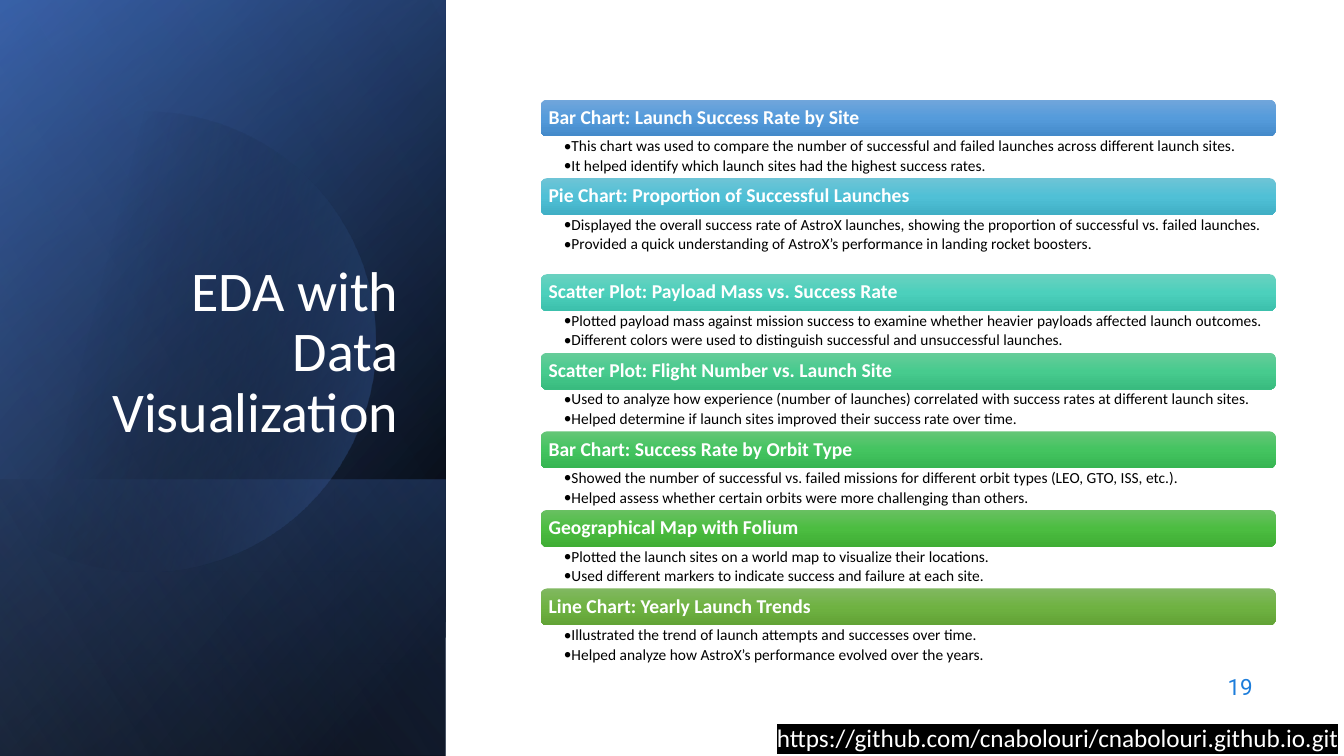
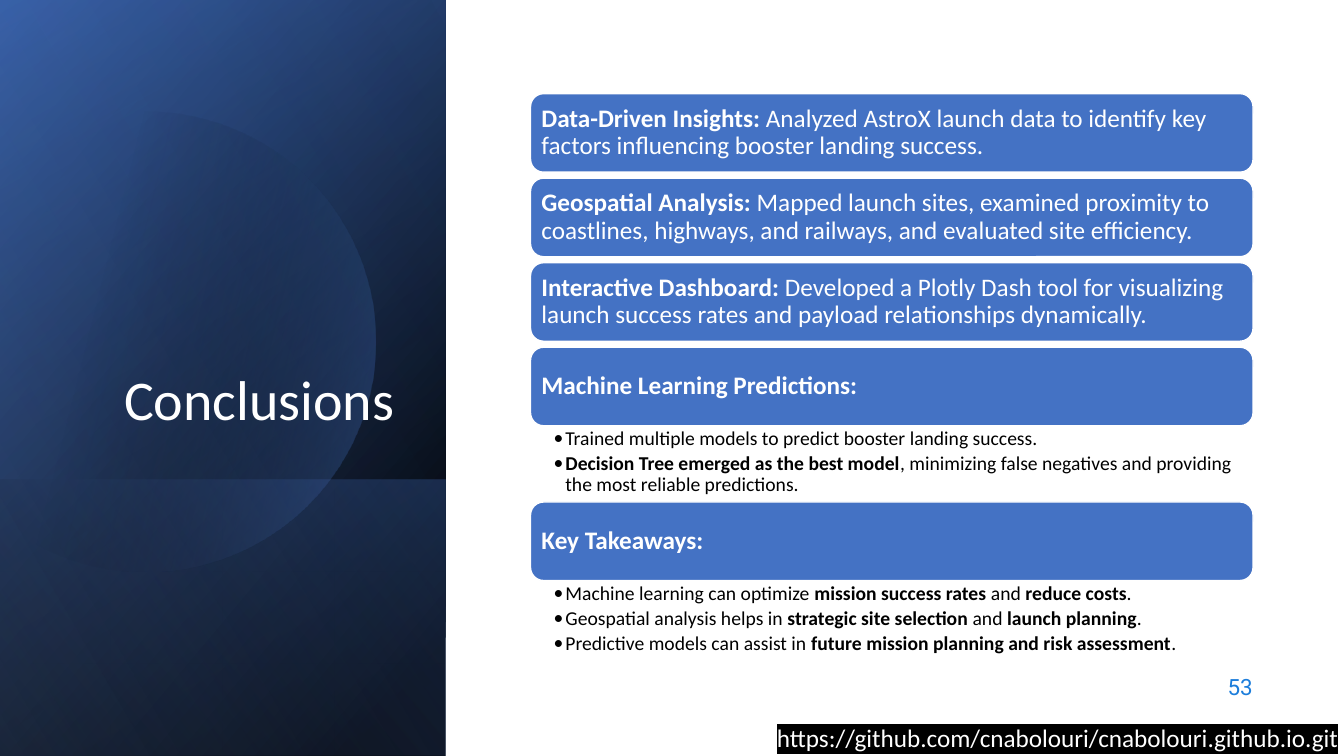
from math import cos, radians, sin

from lxml.etree import SubElement
from pptx import Presentation
from pptx.dml.color import RGBColor
from pptx.enum.shapes import MSO_SHAPE as Preset
from pptx.enum.text import MSO_ANCHOR as Anchor, MSO_AUTO_SIZE as AutoSize, PP_ALIGN as Align
from pptx.oxml.ns import qn
from pptx.util import Cm, Pt

hex_color = RGBColor.from_string
WHITE, BLACK, BLUE = "FFFFFF", "000000", "4472C4"
PANEL_WIDTH, PAGE_HEIGHT = 11.23, 19.05
TITLE = {"name": "Calibri", "size": Pt(40)}
NUMBER = {"name": "Roboto", "size": Pt(16)}
LINK = {"name": "Calibri", "size": Pt(18)}

PANELS = [
    (0, PAGE_HEIGHT, 140, [(8, BLACK, 100), (100, "2F5597", 100)]),
    (0, PAGE_HEIGHT, 120, [(0, BLACK, 0), (99, BLUE, 46)]),
    (12.09, 6.96, 220, [(2, BLUE, 29), (100, BLACK, 30)]),
    (0, PAGE_HEIGHT, 210, [(0, BLACK, 0), (99, "8FAADC", 11)]),
]
CIRCLE_X, CIRCLE_Y, CIRCLE_RADIUS = 3.66, 8.61, 5.8
CIRCLE_STOPS = [(29, BLACK, 0), (100, BLUE, 43)]

CHARTS = {
    "title": "EDA with Data Visualization",
    "title_box": (1.63, 4.67, 8.66, 6.65),
    "number": "19",
    "left": 13.63, "top": 2.51, "width": 18.52, "bar_height": 0.93,
    "bar_inset": 0.15, "bar_font": {"name": "Calibri", "size": Pt(14)},
    "body_insets": (0.58, 0.05, 0.28, 0.05), "hanging": 0.16, "after": 2,
    "body_font": {"name": "Calibri", "size": Pt(11)},
    "sections": [
        ("*Bar Chart: Launch Success Rate by Site*", ("71A6DB", "559BDB", "448ACA"), 1.05, [
            "This chart was used to compare the number of successful and failed launches across different launch sites.",
            "It helped identify which launch sites had the highest success rates."]),
        ("*Pie Chart: Proportion of Successful Launches*", ("6EC4D6", "50C0D6", "40AFC5"), 1.49, [
            "Displayed the overall success rate of AstroX launches, showing the proportion of successful vs. failed launches.",
            "Provided a quick understanding of AstroX’s performance in landing rocket boosters."]),
        ("*Scatter Plot: Payload Mass vs. Success Rate*", ("6AD1C0", "4CD0BC", "3CC0AC"), 1.05, [
            "Plotted payload mass against mission success to examine whether heavier payloads affected launch outcomes.",
            "Different colors were used to distinguish successful and unsuccessful launches."]),
        ("*Scatter Plot: Flight Number vs. Launch Site*", ("67CC9A", "47CB8E", "39BB7F"), 1.05, [
            "Used to analyze how experience (number of launches) correlated with success rates at different launch sites.",
            "Helped determine if launch sites improved their success rate over time."]),
        ("*Bar Chart: Success Rate by Orbit Type*", ("64C677", "44C460", "36B552"), 1.05, [
            "Showed the number of successful vs. failed missions for different orbit types (LEO, GTO, ISS, etc.).",
            "Helped assess whether certain orbits were more challenging than others."]),
        ("*Geographical Map with Folium*", ("69C062", "4CBD41", "3FAD34"), 1.05, [
            "Plotted the launch sites on a world map to visualize their locations.",
            "Used different markers to indicate success and failure at each site."]),
        ("*Line Chart: Yearly Launch Trends*", ("81B861", "6FB242", "62A336"), 1.05, [
            "Illustrated the trend of launch attempts and successes over time.",
            "Helped analyze how AstroX’s performance evolved over the years."]),
    ],
}
CONCLUSIONS = {
    "title": "Conclusions",
    "title_box": (1.3, 1.63, 8.89, 9.4),
    "number": "53",
    "left": 13.37, "top": 2.36, "width": 18.21, "bar_height": 1.98,
    "bar_inset": 0.18, "bar_font": {"name": "Calibri", "size": Pt(18)},
    "body_insets": (0.58, 0.08, 0.36, 0.08), "hanging": 0.3, "after": 2.6,
    "body_font": {"name": "Calibri", "size": Pt(14)},
    "sections": [
        ("*Data-Driven Insights:* Analyzed AstroX launch data to identify key factors influencing booster landing success.",
         None, 0.15, []),
        ("*Geospatial Analysis:* Mapped launch sites, examined proximity to coastlines, highways, and railways, and evaluated site efficiency.",
         None, 0.15, []),
        ("*Interactive Dashboard:* Developed a Plotly Dash tool for visualizing launch success rates and payload relationships dynamically.",
         None, 0.15, []),
        ("*Machine Learning Predictions:*", None, 1.92, [
            "Trained multiple models to predict booster landing success.",
            "*Decision Tree emerged as the best model*, minimizing false negatives and providing the most reliable predictions."]),
        ("*Key Takeaways:*", None, 2.01, [
            "Machine learning can optimize *mission success rates* and *reduce costs*.",
            "Geospatial analysis helps in *strategic site selection* and *launch planning*.",
            "Predictive models can assist in *future mission planning and risk assessment*."]),
    ],
}


def paint_gradient(shape, stops, angle):
    shape.shadow.inherit = False
    shape.line.fill.background()
    shape.fill.gradient()
    shape.fill.gradient_angle = angle
    stop_list = shape.element.spPr.find(".//" + qn("a:gsLst"))
    for stop in list(stop_list):
        stop_list.remove(stop)
    for position, color, opacity in stops:
        stop = SubElement(stop_list, qn("a:gs"), pos=str(position * 1000))
        tint = SubElement(stop, qn("a:srgbClr"), val=color)
        if opacity < 100:
            SubElement(tint, qn("a:alpha"), val=str(opacity * 1000))


def write(para, text, font, color, align=Align.LEFT):
    para.alignment = align
    for index, piece in enumerate(text.split("*")):
        if piece:
            span = para.add_run()
            span.text = piece
            for name, value in font.items():
                setattr(span.font, name, value)
            span.font.bold = index % 2 == 1
            span.font.color.rgb = hex_color(color)


deck = Presentation()
deck.slide_width, deck.slide_height = Cm(33.87), Cm(PAGE_HEIGHT)
title_only = deck.slide_layouts[5]

for content in (CHARTS, CONCLUSIONS):
    page = deck.slides.add_slide(title_only)
    shapes = page.shapes

    for index, (top, height, angle, stops) in enumerate(PANELS):
        if index == 3:
            points = [(Cm(CIRCLE_X + CIRCLE_RADIUS * cos(radians(turn))),
                       Cm(CIRCLE_Y + CIRCLE_RADIUS * sin(radians(turn))))
                      for turn in range(-129, 130, 3)]
            outline = shapes.build_freeform(*points[0])
            outline.add_line_segments(points[1:], close=True)
            paint_gradient(outline.convert_to_shape(), CIRCLE_STOPS, 346)
        panel = shapes.add_shape(Preset.RECTANGLE, 0, Cm(top), Cm(PANEL_WIDTH), Cm(height))
        paint_gradient(panel, stops, angle)

    title = shapes.title
    panel.element.addnext(title.element)
    title.left, title.top, title.width, title.height = [Cm(value) for value in content["title_box"]]
    frame = title.text_frame
    frame.auto_size, frame.word_wrap, frame.vertical_anchor = AutoSize.NONE, True, Anchor.BOTTOM
    para = frame.paragraphs[0]
    para.line_spacing, para.space_after = 0.9, Pt(6)
    write(para, content["title"], TITLE, WHITE, Align.RIGHT)

    left, width = Cm(content["left"]), Cm(content["width"])
    top, bar_height = content["top"], content["bar_height"]
    for heading, colors, body_height, bullets in content["sections"]:
        bar = shapes.add_shape(Preset.ROUNDED_RECTANGLE, left, Cm(top), width, Cm(bar_height))
        if colors:
            paint_gradient(bar, [(50 * step, color, 100) for step, color in enumerate(colors)], 270)
        else:
            bar.shadow.inherit = False
            bar.fill.solid()
            bar.fill.fore_color.rgb = hex_color(BLUE)
            bar.line.color.rgb = hex_color(WHITE)
            bar.line.width = Pt(1)
        frame = bar.text_frame
        frame.vertical_anchor = Anchor.MIDDLE
        for side in ("left", "top", "right", "bottom"):
            setattr(frame, "margin_" + side, Cm(content["bar_inset"]))
        frame.paragraphs[0].line_spacing = 0.9
        write(frame.paragraphs[0], heading, content["bar_font"], WHITE)
        top += bar_height

        if bullets:
            box = shapes.add_textbox(left, Cm(top), width, Cm(body_height))
            frame = box.text_frame
            frame.word_wrap = True
            for side, inset in zip(("left", "top", "right", "bottom"), content["body_insets"]):
                setattr(frame, "margin_" + side, Cm(inset))
            for index, bullet in enumerate(bullets):
                para = frame.add_paragraph() if index else frame.paragraphs[0]
                properties = para._p.get_or_add_pPr()
                properties.set("marL", str(Cm(content["hanging"])))
                properties.set("indent", str(-Cm(content["hanging"])))
                SubElement(properties, qn("a:buFont"), typeface="Calibri")
                SubElement(properties, qn("a:buChar"), char="•")
                para.line_spacing, para.space_after = 0.9, Pt(content["after"])
                write(para, bullet, content["body_font"], BLACK)
        top += body_height

    number = shapes.add_textbox(Cm(24.2), Cm(16.74), Cm(7.62), Cm(1.12))
    number.text_frame.word_wrap = True
    number.text_frame.vertical_anchor = Anchor.MIDDLE
    write(number.text_frame.paragraphs[0], content["number"], NUMBER, "1C7DDB", Align.RIGHT)

    link = shapes.add_textbox(Cm(19.33), Cm(18.08), Cm(16.18), Cm(0.95))
    link.text_frame.word_wrap = True
    para = link.text_frame.paragraphs[0]
    write(para, "https://github.com/cnabolouri/cnabolouri.github.io.git", LINK, WHITE)
    text_fill = para._p.find(".//" + qn("a:solidFill"))
    highlight = SubElement(text_fill.getparent(), qn("a:highlight"))
    SubElement(highlight, qn("a:srgbClr"), val=BLACK)
    text_fill.addnext(highlight)

deck.save("out.pptx")
